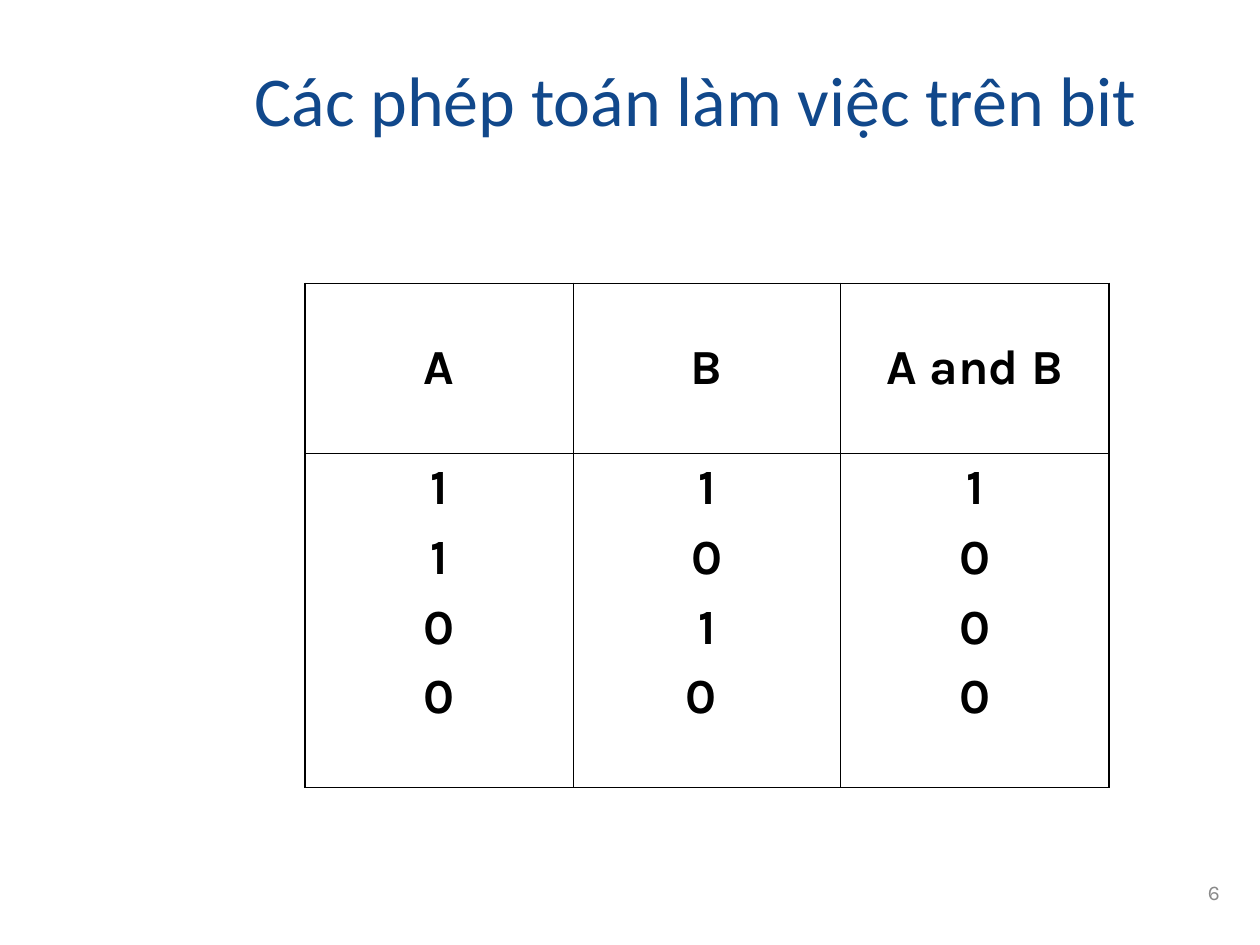
from lxml.etree import SubElement
from pptx import Presentation
from pptx.dml.color import RGBColor
from pptx.enum.text import MSO_ANCHOR, PP_ALIGN
from pptx.oxml.ns import qn
from pptx.util import Inches, Pt

TITLE = "Các phép toán làm việc trên bit"
PAGE_NUMBER = "6"
TRUTH_TABLE = [
    ("A", ["1", "1", "0", "0"]),
    ("B", ["1", "0", "1", "0 "]),
    ("A and B", ["1", "0", "0", "0"]),
]
BLUE = RGBColor(0x11, 0x48, 0x8B)
BLACK = RGBColor(0, 0, 0)
GRAY = RGBColor(0x89, 0x89, 0x89)
WIDTH, HEIGHT = Inches(10), Inches(7.5)
TABLE_LEFT, TABLE_TOP, TABLE_WIDTH = Inches(2.42), Inches(2.25), Inches(6.38)
ROW_HEIGHTS = [Inches(1.35), Inches(2.65)]
THIN, THICK = Pt(0.45), Pt(1.08)


def write(frame, lines, font="Karla", size=28, color=BLACK, bold=False,
          align=PP_ALIGN.CENTER, anchor=MSO_ANCHOR.MIDDLE, before=0):
    frame.word_wrap = True
    frame.vertical_anchor = anchor
    for index, line in enumerate(lines):
        para = frame.add_paragraph() if index else frame.paragraphs[0]
        para.alignment = align
        para.space_before = Pt(before)
        span = para.add_run()
        span.text = line
        span.font.name = font
        span.font.size = Pt(size)
        span.font.bold = bold
        span.font.color.rgb = color


def set_borders(cell, **widths):
    properties = cell._tc.get_or_add_tcPr()
    for position, (side, width) in enumerate(widths.items()):
        line = SubElement(properties, qn(f"a:ln{side}"), w=str(int(width)))
        fill = SubElement(line, qn("a:solidFill"))
        SubElement(fill, qn("a:srgbClr"), val=str(BLACK))
        properties.insert(position, line)


def add_truth_table(page):
    table = page.shapes.add_table(
        len(ROW_HEIGHTS), len(TRUTH_TABLE), TABLE_LEFT, TABLE_TOP,
        TABLE_WIDTH, sum(ROW_HEIGHTS)).table
    table.first_row = table.horz_banding = False
    for row, height in zip(table.rows, ROW_HEIGHTS):
        row.height = height
    last = len(TRUTH_TABLE) - 1
    for column, (heading, values) in enumerate(TRUTH_TABLE):
        table.columns[column].width = int(TABLE_WIDTH / len(TRUTH_TABLE))
        for row, lines in enumerate([[heading], values]):
            cell = table.cell(row, column)
            anchor = MSO_ANCHOR.TOP if row else MSO_ANCHOR.MIDDLE
            write(cell.text_frame, lines, bold=True, before=7, anchor=anchor)
            cell.vertical_anchor = anchor
            cell.fill.background()
            set_borders(cell, L=THIN if column else THICK,
                        R=THICK if column == last else THIN, T=THICK, B=THICK)


def main():
    deck = Presentation()
    deck.slide_width, deck.slide_height = WIDTH, HEIGHT
    page = deck.slides.add_slide(deck.slide_layouts[5])
    title = page.shapes.title
    title.left, title.top = Inches(1.26), Inches(0.23)
    title.width, title.height = Inches(8.52), Inches(1.1)
    write(title.text_frame, [TITLE], font="Calibri", size=40, color=BLUE)
    add_truth_table(page)
    number = page.shapes.add_textbox(
        Inches(7.7), Inches(6.83), Inches(2.08), Inches(0.5))
    write(number.text_frame, [PAGE_NUMBER], size=12, color=GRAY,
          align=PP_ALIGN.RIGHT)
    deck.save("out.pptx")


if __name__ == "__main__":
    main()
